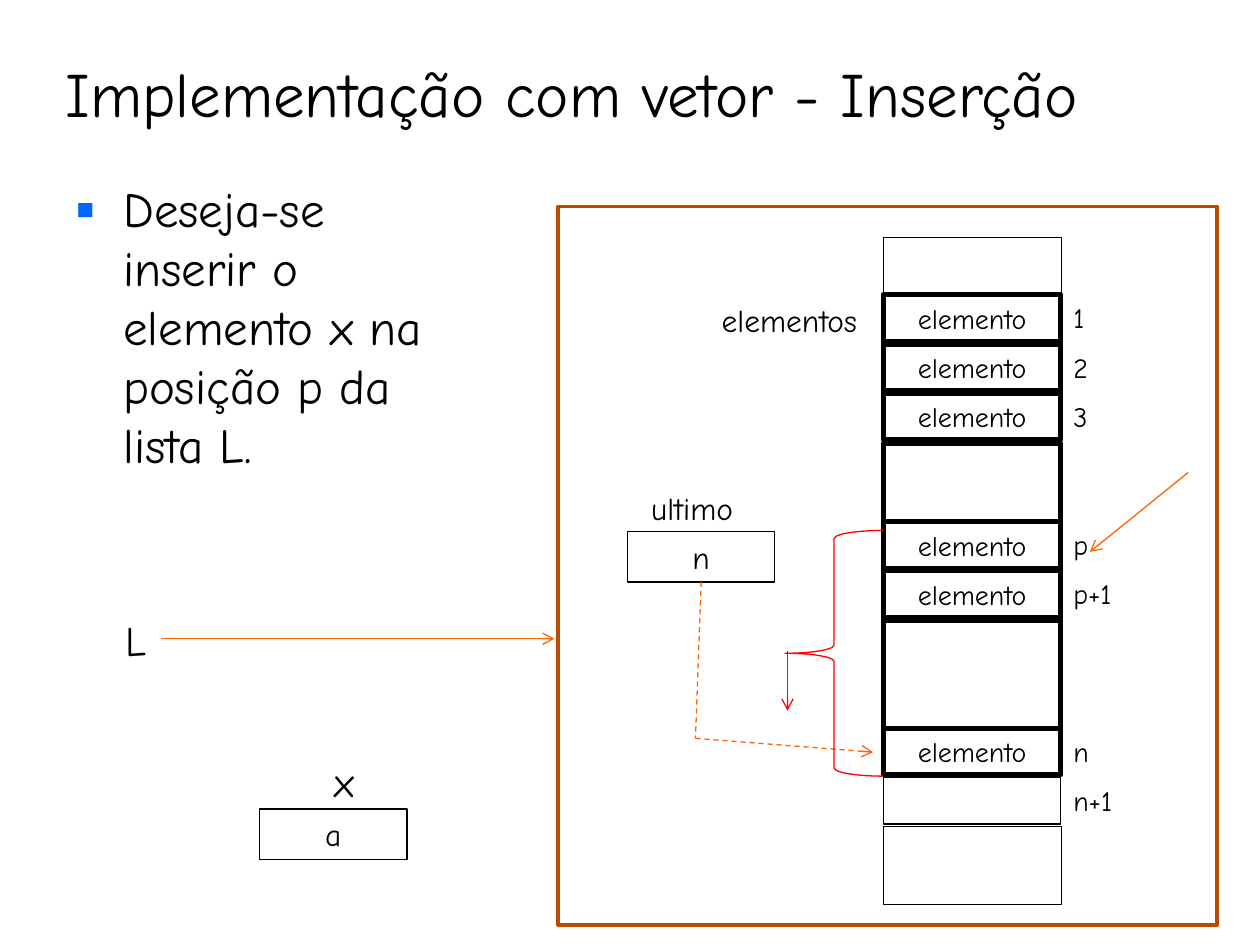
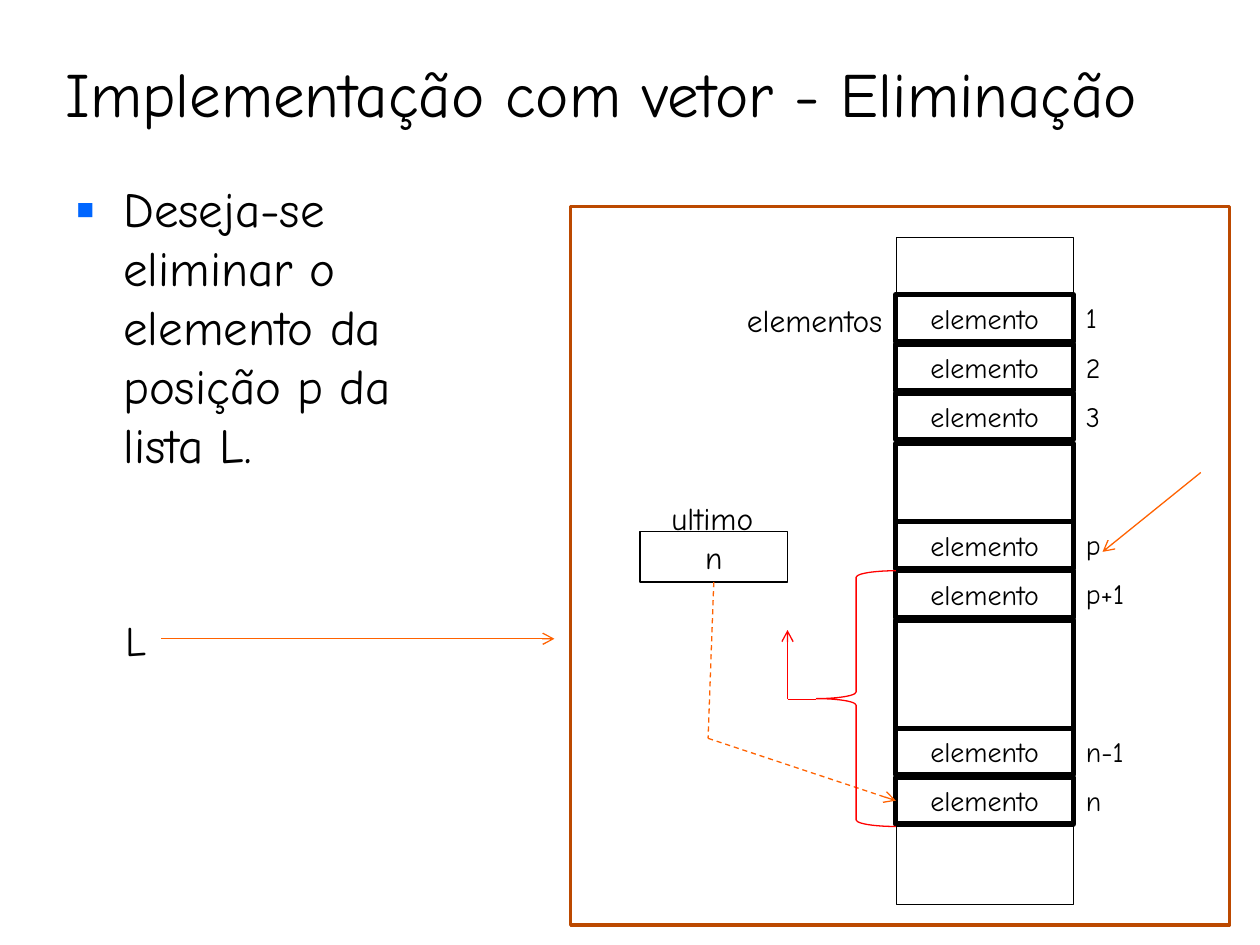
import pptx
import pptx.dml.color
import pptx.enum.dml
import pptx.enum.shapes
import pptx.enum.text
import pptx.util
from lxml import etree
from pptx.oxml.ns import qn

Inches = pptx.util.Inches
Pt = pptx.util.Pt
RGBColor = pptx.dml.color.RGBColor
ALIGN = pptx.enum.text.PP_ALIGN
ANCHOR = pptx.enum.text.MSO_ANCHOR
SHAPE = pptx.enum.shapes.MSO_SHAPE

FONT = "Comic Neue"
BLACK = RGBColor(0x00, 0x00, 0x00)
WHITE = RGBColor(0xFF, 0xFF, 0xFF)
FRAME_BROWN = RGBColor(0xBC, 0x49, 0x00)
POINTER_ORANGE = RGBColor(0xFF, 0x62, 0x00)
SHIFT_RED = RGBColor(0xFF, 0x00, 0x00)
BULLET_BLUE = RGBColor(0x00, 0x66, 0xFF)

CELL_WIDTH = 1.41
CELL_HEIGHT = 0.37
CELL_STEP = 0.39
CELL_RUNS = ((2.34, 3), (4.14, 2), (5.78, 2))
CELL_TOPS = [top + i * CELL_STEP for top, count in CELL_RUNS for i in range(count)]
GAPS = ((3.52, 0.62, 3), (4.92, 0.86, 3), (6.56, 0.62, 0.25), (1.88, 0.47, 0.25))


def style_paragraph(frame, text, size, align=ALIGN.LEFT):
    paragraph = frame.paragraphs[0]
    paragraph.text = text
    paragraph.alignment = align
    paragraph.space_before = Pt(0)
    paragraph.font.name = FONT
    paragraph.font.size = Pt(size)
    paragraph.font.color.rgb = BLACK


def place(placeholder, left, top, width, height):
    placeholder.left, placeholder.top = Inches(left), Inches(top)
    placeholder.width, placeholder.height = Inches(width), Inches(height)
    placeholder.text_frame.auto_size = pptx.enum.text.MSO_AUTO_SIZE.NONE
    return placeholder.text_frame


def add_title(slide, text, width):
    frame = place(slide.shapes.title, 0.42, 0.25, width, 0.83)
    frame.vertical_anchor = ANCHOR.BOTTOM
    style_paragraph(frame, text, 36)


def add_goal(slide, text, height):
    frame = place(slide.placeholders[1], 0.5, 1.37, 3, height)
    properties = frame.paragraphs[0]._p.get_or_add_pPr()
    properties.set("marL", str(Inches(0.38)))
    properties.set("indent", str(-Inches(0.38)))
    colour = etree.SubElement(properties, qn("a:buClr"))
    etree.SubElement(colour, qn("a:srgbClr"), val=str(BULLET_BLUE))
    etree.SubElement(properties, qn("a:buFont"), typeface=FONT)
    etree.SubElement(properties, qn("a:buChar"), char="▪")
    style_paragraph(frame, text, 28)


def add_label(slide, text, left, top, width, height, size, align=ALIGN.LEFT):
    label = slide.shapes.add_textbox(
        Inches(left), Inches(top), Inches(width), Inches(height))
    label.text_frame.word_wrap = True
    style_paragraph(label.text_frame, text, size, align)


def add_outline(slide, kind, left, top, width, height, colour, weight):
    outline = slide.shapes.add_shape(
        kind, Inches(left), Inches(top), Inches(width), Inches(height))
    outline.shadow.inherit = False
    outline.fill.background()
    outline.line.color.rgb = colour
    outline.line.width = Pt(weight)
    return outline


def add_box(slide, left, top, width, height, weight, text="", size=16):
    box = add_outline(slide, SHAPE.RECTANGLE, left, top, width, height, BLACK, weight)
    if text:
        style_paragraph(box.text_frame, text, size, ALIGN.CENTER)
    return box


def add_line(slide, start, end, colour, arrow=True, dashed=False):
    line = slide.shapes.add_connector(
        pptx.enum.shapes.MSO_CONNECTOR.STRAIGHT,
        Inches(start[0]), Inches(start[1]), Inches(end[0]), Inches(end[1]))
    line.line.color.rgb = colour
    line.line.width = Pt(0.75)
    if dashed:
        line.line.dash_style = pptx.enum.dml.MSO_LINE.DASH
    if arrow:
        etree.SubElement(line.line._get_or_add_ln(), qn("a:tailEnd"), type="arrow")
    etree.SubElement(line._element.spPr, qn("a:effectLst"))
    return line


def add_vector(slide, left, indices, used):
    cells = []
    for position, (top, index) in enumerate(zip(CELL_TOPS, indices)):
        in_use = position < used
        cells.append(add_box(slide, left, top, CELL_WIDTH, CELL_HEIGHT,
                             3 if in_use else 0.75, "elemento" if in_use else ""))
        add_label(slide, index, left + CELL_WIDTH, top, 0.78, CELL_HEIGHT, 16)
    for top, height, weight in GAPS:
        add_box(slide, left, top, CELL_WIDTH, height, weight)
    return cells


def add_list_diagram(slide, shift, indices, used, elements_left, last_label):
    add_outline(slide, SHAPE.RECTANGLE, 4.43 + shift, 1.64, 5.23, 5.7, FRAME_BROWN, 2)
    cells = add_vector(slide, 7.01 + shift, indices, used)
    add_label(slide, "elementos", elements_left, 2.34, 1.48, 0.4, 18, ALIGN.RIGHT)
    add_label(slide, "ultimo", *last_label, 1.02, 0.4, 18)
    last = add_box(slide, 4.98 + shift, 4.22, 1.17, 0.4, 0.75, "n", 18)
    corner = (5.52 + shift, 5.86)
    descent = add_line(slide, (5.56 + shift, 4.62), corner, POINTER_ORANGE,
                       arrow=False, dashed=True)
    descent.begin_connect(last, 2)
    add_line(slide, (9.43 + shift, 3.75), (8.65 + shift, 4.38), POINTER_ORANGE)
    add_label(slide, "L", 0.57, 4.83, 1.02, 0.5, 24, ALIGN.CENTER)
    add_line(slide, (1.28, 5.07), (4.4, 5.07), POINTER_ORANGE)
    return corner, cells


def add_shift_brace(slide, left, top, width, height):
    add_outline(slide, SHAPE.LEFT_BRACE, left, top, width, height, SHIFT_RED, 0.75)


def start_slide(deck, title, title_width, goal, goal_height):
    slide = deck.slides.add_slide(deck.slide_layouts[1])
    add_title(slide, title, title_width)
    add_goal(slide, goal, goal_height)
    return slide


def build_insertion(deck):
    slide = start_slide(deck, "Implementação com vetor - Inserção", 9.08,
                        "Deseja-se inserir o elemento x na posição p da lista L.", 2.71)
    corner, _ = add_list_diagram(
        slide, 0, ("1", "2", "3", "p", "p+1", "n", "n+1"), 6, 5.42, (5.07, 3.83))
    add_line(slide, corner, (6.93, 5.97), POINTER_ORANGE, dashed=True)
    add_label(slide, "x", 2.22, 5.95, 1.02, 0.5, 24, ALIGN.CENTER)
    add_box(slide, 2.06, 6.42, 1.17, 0.4, 0.75, "a", 18)
    add_shift_brace(slide, 6.23, 4.21, 0.78, 1.95)
    add_line(slide, (6.25, 5.17), (6.25, 5.64), SHIFT_RED)


def build_removal(deck):
    slide = start_slide(deck, "Implementação com vetor - Eliminação", 9.58,
                        "Deseja-se eliminar o elemento da posição p da lista L.", 2.54)
    corner, cells = add_list_diagram(
        slide, 0.1, ("1", "2", "3", "p", "p+1", "n-1", "n"), 7, 5.62, (5.23, 3.91))
    pointer = add_line(slide, corner, (7.11, 6.36), POINTER_ORANGE, dashed=True)
    pointer.end_connect(cells[-1], 1)
    add_shift_brace(slide, 6.48, 4.53, 0.63, 2.03)
    add_line(slide, (6.48, 5.55), (6.25, 5.55), SHIFT_RED, arrow=False)
    add_line(slide, (6.25, 5.55), (6.25, 5), SHIFT_RED)


def main():
    deck = pptx.Presentation()
    deck.slide_width, deck.slide_height = Inches(10), Inches(7.5)
    background = deck.slide_master.background.fill
    background.solid()
    background.fore_color.rgb = WHITE
    build_insertion(deck)
    build_removal(deck)
    deck.save("out.pptx")


if __name__ == "__main__":
    main()
